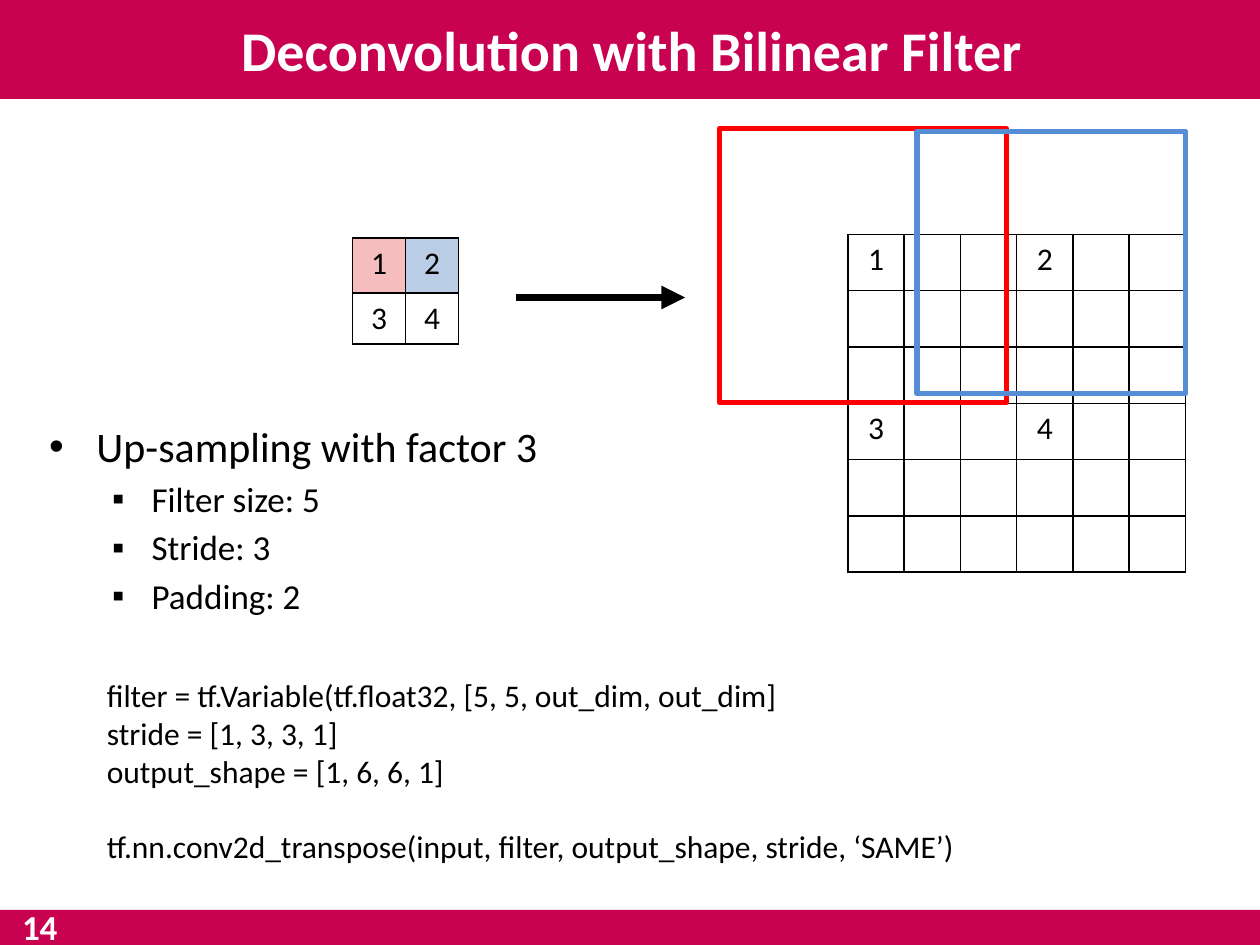
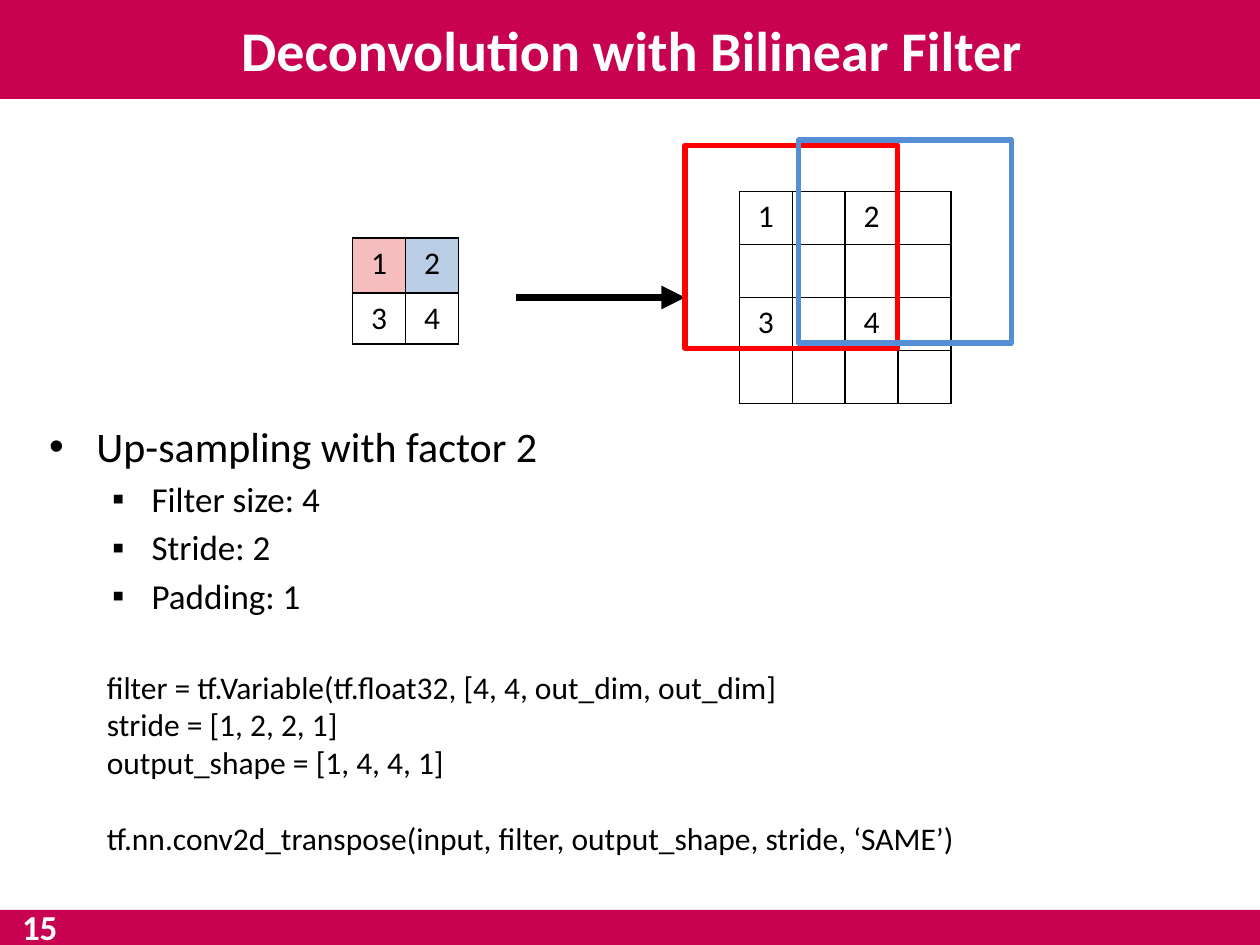
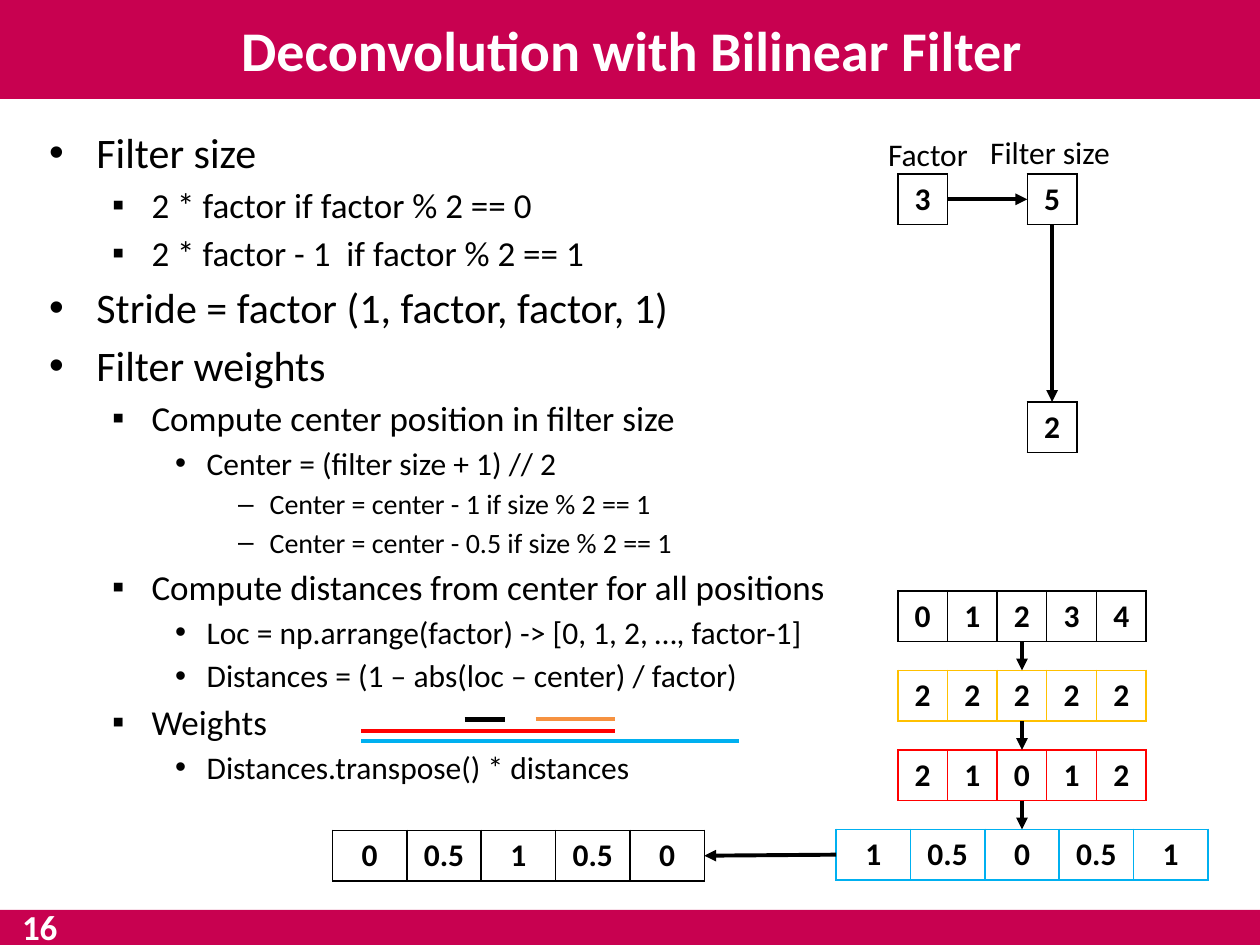
from lxml import etree
from pptx import Presentation
from pptx.dml.color import RGBColor
from pptx.enum import shapes, text
from pptx.oxml import ns
from pptx.util import Pt

FONT = "Calibri"
COLOURS = {
    "band": "C80150", "white": "FFFFFF", "black": "000000", "red": "FF0000",
    "blue": "558ED5", "pink": "F5BDBD", "pale": "B9CDE5", "gold": "FFC000",
    "sky": "00B0F0", "orange": "F69240",
}
WIDTH, HEIGHT = 720, 540
TITLE = "Deconvolution with Bilinear Filter"
FIRST_NUMBER = 14
BODY_LEFT, BODY_WIDTH = 21, 680

# Per outline level: bullet, text size, left indent, hanging indent
LEVELS = [("•", 24, 27, 27), ("▪", 20, 58.5, 22.5), ("•", 18, 90, 18), ("–", 16, 126, 18)]

# Frames are (colour, left, top, width, height)
UPSAMPLINGS = [
    {"factor": 3, "filter": 5, "padding": 2, "grid": (484.5, 134), "cell": 32.15, "code_top": 383,
     "frames": [("red", 411, 73.5, 164, 156.5), ("blue", 524, 75, 153.5, 150)]},
    {"factor": 2, "filter": 4, "padding": 1, "grid": (422.5, 109.5), "cell": 30.25, "code_top": 378,
     "frames": [("red", 391.5, 83, 121.5, 116), ("blue", 456.5, 80, 121.5, 116)]},
]
INPUT = [["1", "2"], ["3", "4"]]

RECIPE = [
    (0, "Filter size"),
    (1, "2 * factor if factor % 2 == 0"),
    (1, "2 * factor - 1  if factor % 2 == 1"),
    (0, "Stride = factor (1, factor, factor, 1)"),
    (0, "Filter weights"),
    (1, "Compute center position in filter size"),
    (2, "Center = (filter size + 1) // 2"),
    (3, "Center = center - 1 if size % 2 == 1"),
    (3, "Center = center - 0.5 if size % 2 == 1"),
    (1, "Compute distances from center for all positions"),
    (2, "Loc = np.arrange(factor) -> [0, 1, 2, …, factor-1]"),
    (2, "Distances = (1 – abs(loc – center) / factor)"),
    (1, "Weights"),
    (2, "Distances.transpose() * distances"),
]
NARROW, WIDE, ROW = 28.4, 42.5, 29
CHAIN = [  # colour, cell width, values
    ("black", NARROW, "0 1 2 3 4"),
    ("gold", NARROW, "2 2 2 2 2"),
    ("red", NARROW, "2 1 0 1 2"),
    ("sky", WIDE, "1 0.5 0 0.5 1"),
]
CHAIN_CENTRE, CHAIN_TOP, CHAIN_STEP = 584, 337.7, 45.4
WEIGHTS, WEIGHTS_AT = "0 0.5 1 0.5 0", (190, 474.5)
FACTOR_X, SIZE_X, FACTOR_Y, CENTRE_Y = 513, 587, 99.4, 229.7
LABELS = [("Factor", 500.4, 73.4, 60.5), ("Filter size", 558.7, 72.7, 83.5)]
UNDERLINES = [  # colour, start, end, height, weight
    ("black", 265.5, 288.5, 411, 3),
    ("orange", 306, 351.5, 411, 2.25),
    ("red", 206.5, 351.5, 417.5, 2.25),
    ("sky", 206.5, 422.5, 423.5, 2.25),
]


def rgb(name):
    return RGBColor.from_string(COLOURS[name])


def apply(target, values):
    for name, value in values.items():
        setattr(target, name, value)


def write(para, words, size, colour="black", bold=False):
    span = para.add_run()
    span.text = words
    apply(span.font, {"name": FONT, "size": Pt(size), "bold": bold})
    span.font.color.rgb = rgb(colour)


def add_box(page, left, top, width, height, **frame_values):
    box = page.shapes.add_textbox(Pt(left), Pt(top), Pt(width), Pt(height))
    apply(box.text_frame, {"word_wrap": True, **frame_values})
    return box.text_frame


def add_paragraph(frame, first):
    return frame.paragraphs[0] if first else frame.add_paragraph()


def add_rectangle(page, left, top, width, height, fill=None, line=None):
    box = page.shapes.add_shape(shapes.MSO_SHAPE.RECTANGLE, Pt(left), Pt(top), Pt(width), Pt(height))
    box.shadow.inherit = False
    if fill:
        box.fill.solid()
        box.fill.fore_color.rgb = rgb(fill)
    else:
        box.fill.background()
    if line:
        box.line.color.rgb = rgb(line)
        box.line.width = Pt(3)
    else:
        box.line.fill.background()


def add_line(page, start, end, weight, colour="black", arrow=False):
    line = page.shapes.add_connector(shapes.MSO_CONNECTOR.STRAIGHT, *map(Pt, start + end))
    line.line.color.rgb = rgb(colour)
    line.line.width = Pt(weight)
    if arrow:
        etree.SubElement(line.line._get_or_add_ln(), ns.qn("a:tailEnd"), type="triangle")
    etree.SubElement(line._element.spPr, ns.qn("a:effectLst"))


def set_borders(cell, colour):
    properties = cell._tc.get_or_add_tcPr()
    for place, side in enumerate(("lnL", "lnR", "lnT", "lnB")):
        border = etree.Element(ns.qn("a:" + side), w=str(Pt(1)))
        fill = etree.SubElement(border, ns.qn("a:solidFill"))
        etree.SubElement(fill, ns.qn("a:srgbClr"), val=COLOURS[colour])
        properties.insert(place, border)


def add_grid(page, left, top, values, cell_width, heights, colour="black", bold=False, fills=()):
    """Draw a bordered table; fills colour the first cells of the top row."""
    columns = len(values[0])
    grid = page.shapes.add_table(len(values), columns, Pt(left), Pt(top),
                                 Pt(cell_width * columns), Pt(sum(heights))).table
    apply(grid, {"first_row": False, "horz_banding": False})
    for column in grid.columns:
        column.width = Pt(cell_width)
    for r, row in enumerate(values):
        grid.rows[r].height = Pt(heights[r])
        for c, value in enumerate(row):
            cell = grid.cell(r, c)
            if r == 0 and c < len(fills):
                cell.fill.solid()
                cell.fill.fore_color.rgb = rgb(fills[c])
            else:
                cell.fill.background()
            set_borders(cell, colour)
            para = cell.text_frame.paragraphs[0]
            para.alignment = text.PP_ALIGN.CENTER
            if value:
                write(para, value, 18, bold=bold)


def add_strip(page, left, top, values, cell_width=NARROW, colour="black"):
    add_grid(page, left, top, [values.split()], cell_width, [ROW], colour, bold=True)


def add_outline(page, top, items):
    frame = add_box(page, BODY_LEFT, top, BODY_WIDTH, 513 - top)
    for i, (level, words) in enumerate(items):
        mark, size, indent, hanging = LEVELS[level]
        para = add_paragraph(frame, i == 0)
        properties = para._p.get_or_add_pPr()
        apply_indent = {"marL": indent, "indent": -hanging}
        for name, value in apply_indent.items():
            properties.set(name, str(Pt(value)))
        etree.SubElement(properties, ns.qn("a:buFont"), typeface="Arial")
        etree.SubElement(properties, ns.qn("a:buChar"), char=mark)
        if i:
            para.space_before = Pt(round(0.18 * size, 2))
        write(para, words, size)


def add_page(deck, number):
    """Add a slide with the bands, title and number that all slides share."""
    page = deck.slides.add_slide(deck.slide_layouts[6])
    add_rectangle(page, 0, 0, WIDTH, 56.5, fill="band")
    add_rectangle(page, 0, 520, WIDTH, 20, fill="band")
    middle = {"vertical_anchor": text.MSO_ANCHOR.MIDDLE}
    tight = dict.fromkeys(("margin_left", "margin_right", "margin_top", "margin_bottom"), 0)
    for words, size, place, extra in (
        (TITLE, 32, (BODY_LEFT, 3, BODY_WIDTH, 50), {}),
        (str(number), 20, (3, 520, 39.5, 19), tight),
    ):
        para = add_box(page, *place, **middle, **extra).paragraphs[0]
        para.alignment = text.PP_ALIGN.CENTER
        write(para, words, size, "white", bold=True)
    return page


def fill_upsampling(page, case):
    factor, size = case["factor"], case["filter"]
    side = 2 * factor
    add_outline(page, 237, [
        (0, f"Up-sampling with factor {factor}"),
        (1, f"Filter size: {size}"),
        (1, f"Stride: {factor}"),
        (1, f"Padding: {case['padding']}"),
    ])
    add_grid(page, 201.5, 136, INPUT, 30.25, [31.5, 29], fills=("pink", "pale"))
    spread = [["" if r % factor or c % factor else INPUT[r // factor][c // factor]
               for c in range(side)] for r in range(side)]
    add_grid(page, *case["grid"], spread, case["cell"], [case["cell"]] * side)
    add_line(page, (295, 170), (391.5, 170), 4.5, arrow=True)
    for colour, *place in case["frames"]:
        add_rectangle(page, *place, line=colour)
    code = [
        f"filter = tf.Variable(tf.float32, [{size}, {size}, out_dim, out_dim]",
        f"stride = [1, {factor}, {factor}, 1]",
        f"output_shape = [1, {side}, {side}, 1]",
        "tf.nn.conv2d_transpose(input, filter, output_shape, stride, ‘SAME’)",
    ]
    frame = add_box(page, 54, case["code_top"], 629, 117)
    for i, words in enumerate(code):
        para = add_paragraph(frame, i == 0)
        write(para, words, 18)
    para.space_before = Pt(21.5)


def fill_recipe(page):
    add_outline(page, 69, RECIPE)
    for value, left, top in (("3", FACTOR_X, FACTOR_Y), ("5", SIZE_X, FACTOR_Y), ("2", SIZE_X, CENTRE_Y)):
        add_strip(page, left, top, value)
    for words, left, top, width in LABELS:
        write(add_box(page, left, top, width, 29, word_wrap=False).paragraphs[0], words, 18)
    middle_x, middle_y = SIZE_X + NARROW / 2, FACTOR_Y + ROW / 2
    arrows = [
        ((FACTOR_X + NARROW, middle_y), (SIZE_X, middle_y)),
        ((middle_x, FACTOR_Y + ROW), (middle_x, CENTRE_Y)),
    ]
    for i, (colour, cell_width, values) in enumerate(CHAIN):
        left = CHAIN_CENTRE - cell_width * len(values.split()) / 2
        top = CHAIN_TOP + i * CHAIN_STEP
        add_strip(page, left, top, values, cell_width, colour)
        if i:
            arrows.append(((CHAIN_CENTRE, top - CHAIN_STEP + ROW), (CHAIN_CENTRE, top)))
    add_strip(page, *WEIGHTS_AT, WEIGHTS, WIDE)
    weights_left, weights_top = WEIGHTS_AT
    weights_end = weights_left + WIDE * len(WEIGHTS.split())
    arrows.append(((left, top + ROW / 2), (weights_end, weights_top + ROW / 2)))
    for start, end in arrows:
        add_line(page, start, end, 2.25, arrow=True)
    for colour, start, end, height, weight in UNDERLINES:
        add_line(page, (start, height), (end, height), weight, colour)


def main():
    deck = Presentation()
    apply(deck, {"slide_width": Pt(WIDTH), "slide_height": Pt(HEIGHT)})
    for number, case in enumerate(UPSAMPLINGS, FIRST_NUMBER):
        fill_upsampling(add_page(deck, number), case)
    fill_recipe(add_page(deck, FIRST_NUMBER + len(UPSAMPLINGS)))
    deck.save("out.pptx")


if __name__ == "__main__":
    main()
